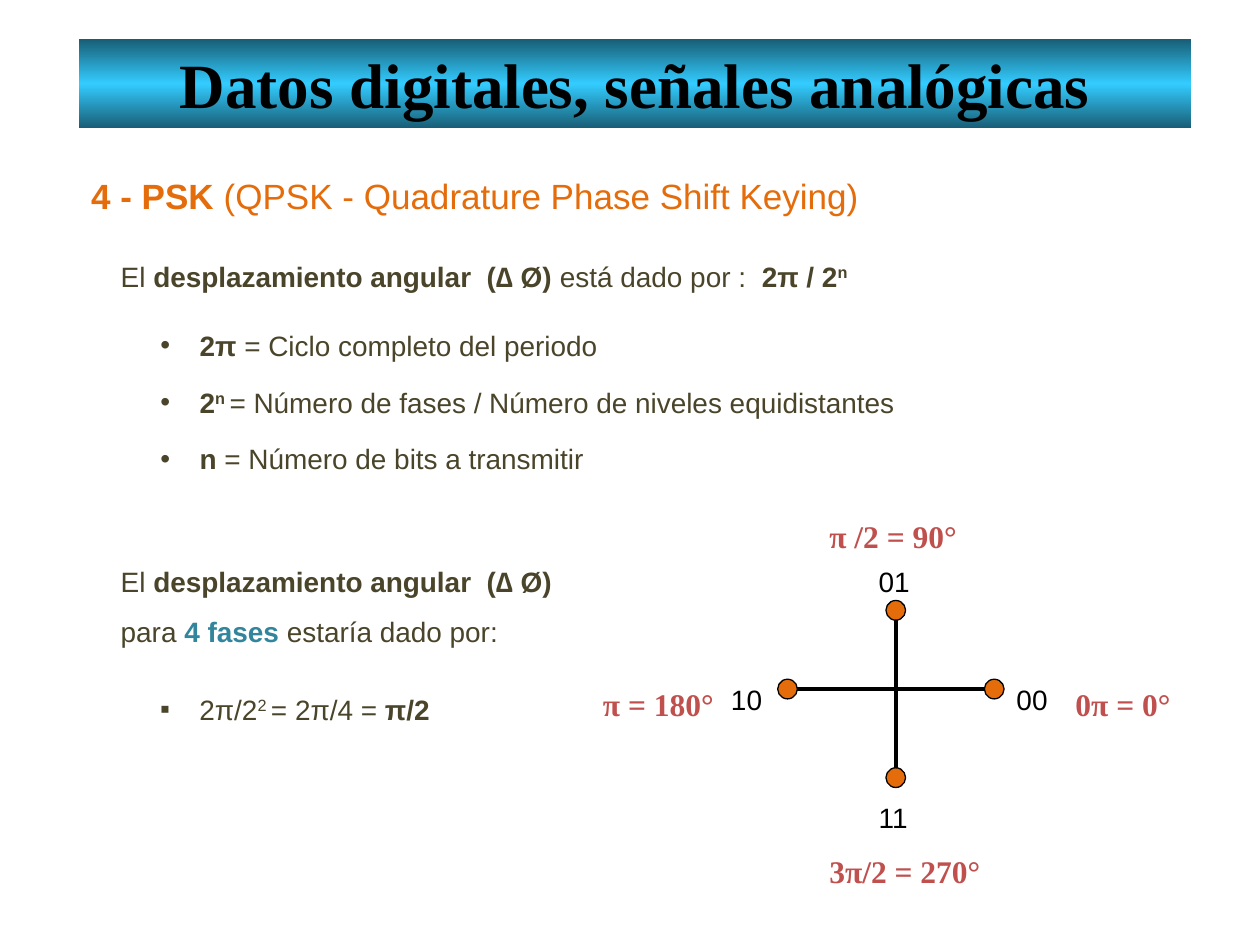
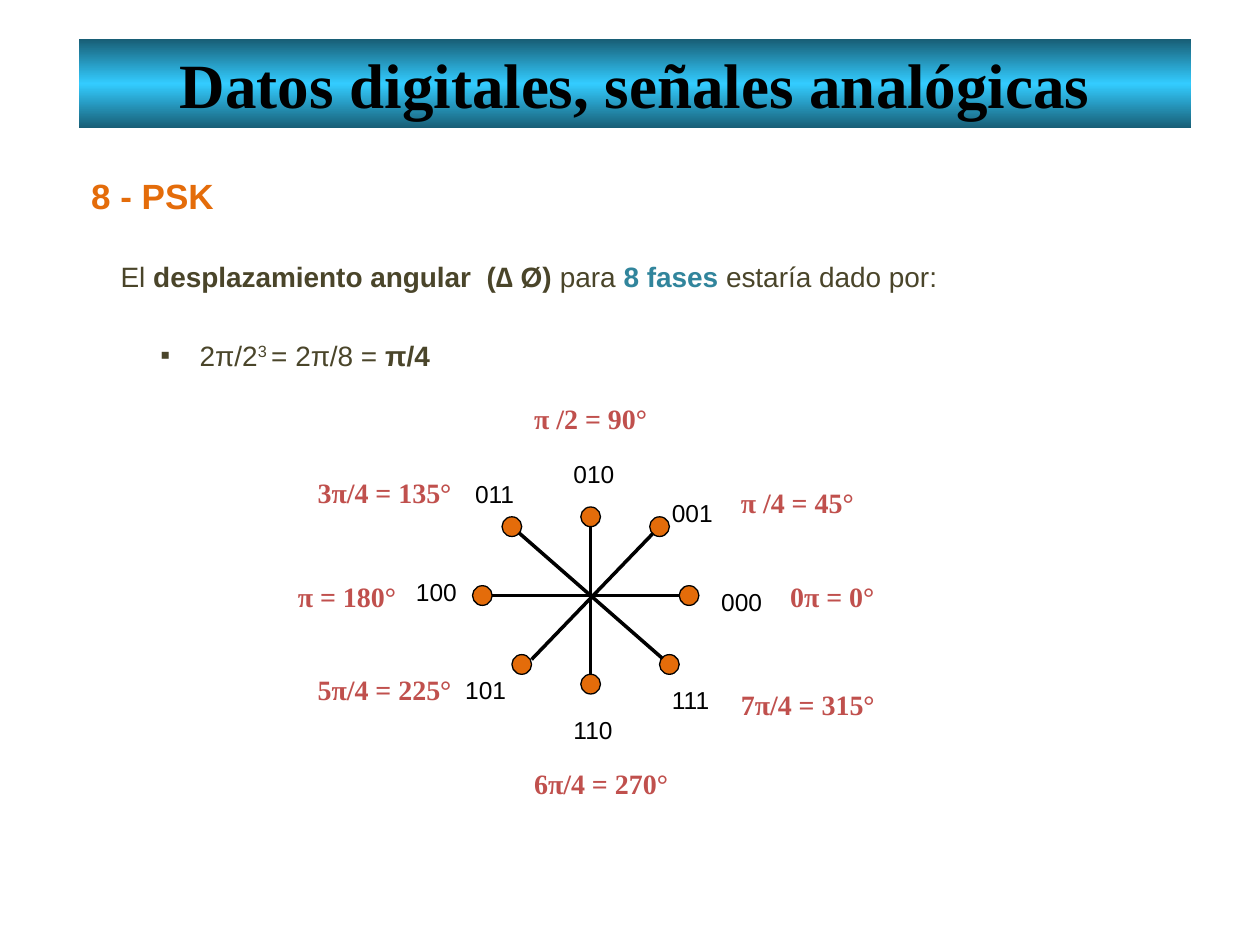
from lxml.etree import SubElement
from pptx import Presentation
from pptx.dml.color import RGBColor
from pptx.enum.shapes import MSO_CONNECTOR, MSO_SHAPE
from pptx.enum.text import MSO_ANCHOR, MSO_AUTO_SIZE, PP_ALIGN
from pptx.oxml.ns import qn
from pptx.util import Inches, Pt

COLORS = {
    "band_edge": "185E76", "band_mid": "33CCFF", "orange": "E46C0A",
    "text": "4A452A", "teal": "31859C", "red": "C0504D", "black": "000000",
}
SANS, SERIF = "Arial", "Times New Roman"
COLS, ROWS = 128, 96
TITLE = "Datos digitales, señales analógicas"
BOLD, SUP = {"bold": True}, {"sup": True}
BOLD_SUP = {"bold": True, "sup": True}
TEAL = {"bold": True, "color": "teal"}


def rgb(name):
    return RGBColor.from_string(COLORS[name])


def add_run(p, text, font=SANS, size=16, color="text", bold=False, sup=False):
    r = p.add_run()
    r.text = text
    r.font.name, r.font.size, r.font.bold = font, Pt(size), bold
    r.font.color.rgb = rgb(color)
    if sup:
        r._r.get_or_add_rPr().set("baseline", "30000")


class Deck:
    def __init__(self):
        self.prs = Presentation()
        self.prs.slide_width, self.prs.slide_height = Inches(10), Inches(7.5)
        self.s = None

    def x(self, col):
        return round(self.prs.slide_width * col / COLS)

    def y(self, row):
        return round(self.prs.slide_height * row / ROWS)

    def rect(self, col, row, w, h):
        return self.x(col), self.y(row), self.x(w), self.y(h)

    def slide(self):
        self.s = self.prs.slides.add_slide(self.prs.slide_layouts[1])
        sp = self.place(self.s.shapes.title, 8, 4, 113, 9)
        sp.fill.gradient()
        sp.fill.gradient_angle = 90
        stops = sp._element.spPr.find(qn("a:gradFill")).find(qn("a:gsLst"))
        for stop in list(stops):
            stops.remove(stop)
        for pos, name in ((0, "band_edge"), (50, "band_mid"), (100, "band_edge")):
            gs = SubElement(stops, qn("a:gs"), pos=str(pos * 1000))
            SubElement(gs, qn("a:srgbClr"), val=COLORS[name])
        self.set_text(sp.text_frame, [[(TITLE, BOLD)]], align=PP_ALIGN.CENTER,
                      spacing=1, font=SERIF, size=36, color="black")
        sp.text_frame.vertical_anchor = MSO_ANCHOR.MIDDLE

    def place(self, sp, *cells):
        sp.left, sp.top, sp.width, sp.height = self.rect(*cells)
        return sp

    def set_text(self, tf, paragraphs, align=PP_ALIGN.JUSTIFY, spacing=1.5,
                 before=0, bullet=None, **style):
        tf.word_wrap = True
        tf.auto_size = MSO_AUTO_SIZE.NONE
        tf.vertical_anchor = MSO_ANCHOR.TOP
        for i, runs in enumerate(paragraphs):
            p = tf.add_paragraph() if i else tf.paragraphs[0]
            p.alignment, p.line_spacing, p.space_before = align, spacing, Pt(before)
            if bullet:
                pPr = p._p.get_or_add_pPr()
                pPr.set("marL", str(self.x(4)))
                pPr.set("indent", str(-self.x(4)))
                SubElement(pPr, qn("a:buFont"), typeface=SANS)
                SubElement(pPr, qn("a:buChar"), char=bullet)
            for text, fmt in runs:
                add_run(p, text, **{**style, **fmt})

    def text(self, cells, *runs, **kw):
        self.set_text(self.s.shapes.add_textbox(*self.rect(*cells)).text_frame, [runs], **kw)

    def heading(self, *runs):
        self.text((8, 15, 104, 8), *runs, size=20, color="orange")

    def bullets(self, cells, paragraphs, bullet):
        sp = self.place(self.s.placeholders[1], *cells)
        self.set_text(sp.text_frame, paragraphs, before=3.7, bullet=bullet)

    def line(self, x1, y1, x2, y2):
        c = self.s.shapes.add_connector(MSO_CONNECTOR.STRAIGHT, self.x(x1),
                                        self.y(y1), self.x(x2), self.y(y2))
        c.line.color.rgb, c.line.width = rgb("black"), Pt(2)
        SubElement(c._element.spPr, qn("a:effectLst"))

    def dot(self, col, row):
        sp = self.s.shapes.add_shape(MSO_SHAPE.OVAL, *self.rect(col, row, 2, 2))
        sp.shadow.inherit = False
        sp.fill.solid()
        sp.fill.fore_color.rgb = rgb("orange")
        sp.line.color.rgb, sp.line.width = rgb("black"), Pt(0.75)

    def constellation(self, axes, points, code_width, code_size, angle_size):
        for axis in axes:
            self.line(*axis)
        for dot, code, code_at, angle, angle_at, angle_width in points:
            self.dot(*dot)
            self.text((*code_at, code_width, 7), (code, {}), before=0.23 * code_size,
                      size=code_size, color="black")
            self.text((*angle_at, angle_width, 7), (angle, BOLD), font=SERIF,
                      size=angle_size, color="red")


def phases(count):
    return [("El", {}), (" desplazamiento angular  (∆ Ø)", BOLD), (" para ", {}),
            (f"{count} fases ", TEAL), ("estaría dado por:", {})]


def step(bits, result):
    return [("2π/2", {}), (f"{bits} ", SUP), (f"= 2π/{2 ** bits} = ", {}), (result, BOLD)]


def qpsk(deck):
    deck.slide()
    deck.heading(("4 - PSK", BOLD), (" (QPSK - Quadrature Phase Shift Keying)", {}))
    deck.text((11, 24, 88, 6), ("El", {}), (" desplazamiento angular  (∆ Ø) ", BOLD),
              ("está dado por :  ", {}), ("2π / 2", BOLD), ("n", BOLD_SUP),
              align=PP_ALIGN.LEFT)
    deck.bullets((15, 31, 90, 19), [
        [("2π ", BOLD), ("= Ciclo completo del periodo", {})],
        [("2", BOLD), ("n ", BOLD_SUP),
         ("= Número de fases / Número de niveles equidistantes", {})],
        [("n ", BOLD), ("= Número de bits a transmitir", {})],
    ], "•")
    deck.text((11, 55, 48, 12), *phases(4), align=PP_ALIGN.LEFT)
    deck.text((15, 68, 33, 7), *step(2, "π/2"), before=3.7, bullet="▪")
    deck.constellation([(79, 70, 102, 70), (91, 80, 91, 61)], [
        ((100, 69), "00", (102, 67), "0π = 0°", (108, 67), 13),
        ((90, 61), "01", (88, 55), "π /2 = 90°", (83, 50), 16),
        ((79, 69), "10", (73, 67), "π = 180°", (60, 67), 14),
        ((90, 78), "11", (88, 79), "3π/2 = 270°", (83, 84), 19),
    ], code_width=7, code_size=16, angle_size=18)


def psk8(deck):
    deck.slide()
    deck.heading(("8 - PSK", BOLD))
    deck.text((11, 24, 92, 6), *phases(8), align=PP_ALIGN.LEFT)
    deck.bullets((15, 32, 33, 7), [step(3, "π/4")], "▪")
    deck.constellation([
        (48, 60.5, 71, 60.5), (60, 70.5, 60, 51.5),
        (54, 67, 67, 53.5), (52, 53.5, 68, 67.5),
    ], [
        ((69, 59.5), "000", (72, 57.5), "0π = 0°", (79, 56.5), 12),
        ((66, 52.5), "001", (67, 48.5), "π /4 = 45°", (74, 47), 15),
        ((59, 51.5), "010", (57, 44.5), "π /2 = 90°", (53, 38.5), 16),
        ((51, 52.5), "011", (47, 46.5), "3π/4 = 135°", (31, 46), 17),
        ((48, 59.5), "100", (41, 56.5), "π = 180°", (29, 56.5), 13),
        ((52, 66.5), "101", (46, 66.5), "5π/4 = 225°", (31, 66), 17),
        ((59, 68.5), "110", (57, 70.5), "6π/4 = 270°", (53, 75.5), 17),
        ((67, 66.5), "111", (67, 67.5), "7π/4 = 315°", (74, 67.5), 17),
    ], code_width=8, code_size=14, angle_size=16)


def main():
    deck = Deck()
    qpsk(deck)
    psk8(deck)
    deck.prs.save("out.pptx")


if __name__ == "__main__":
    main()
